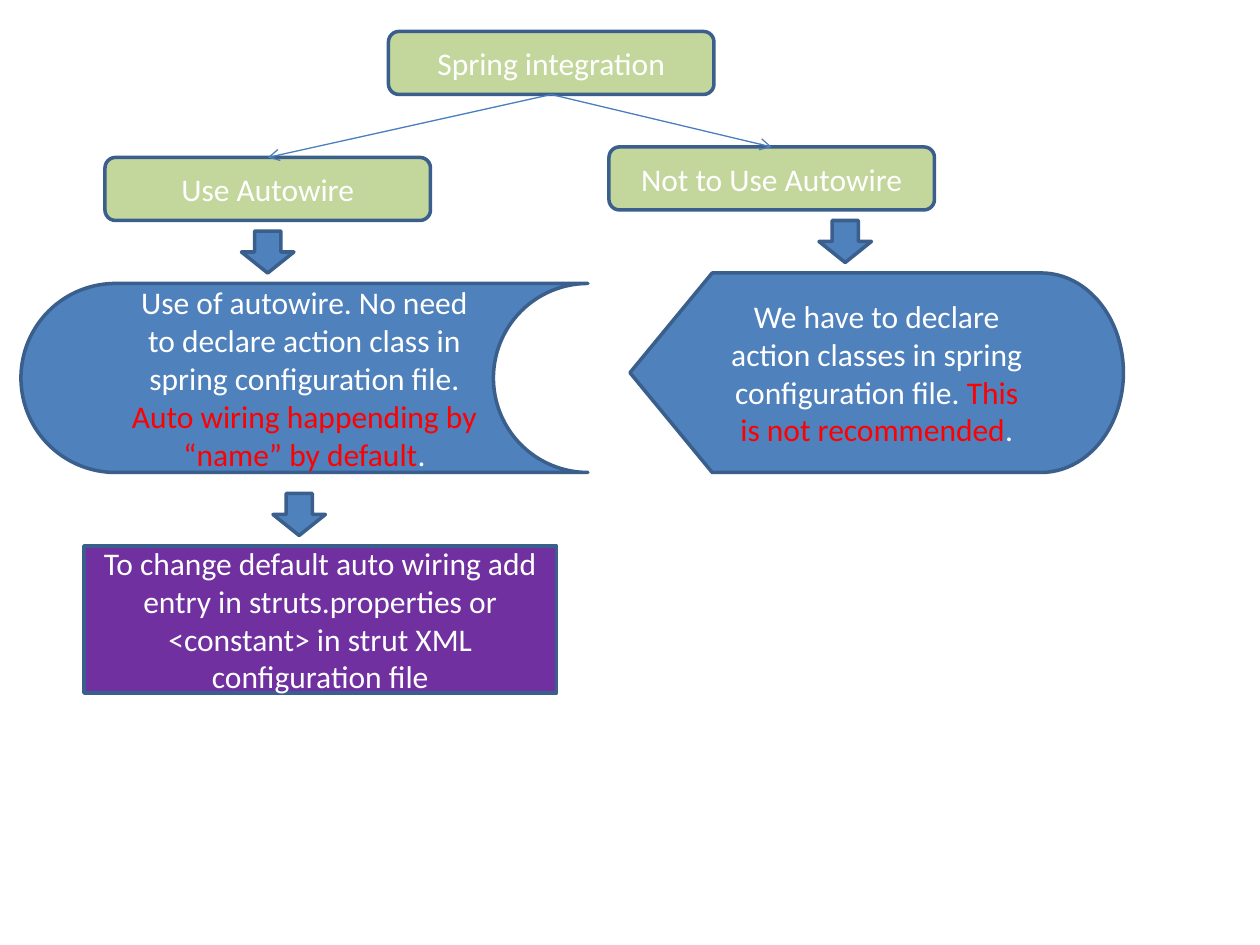
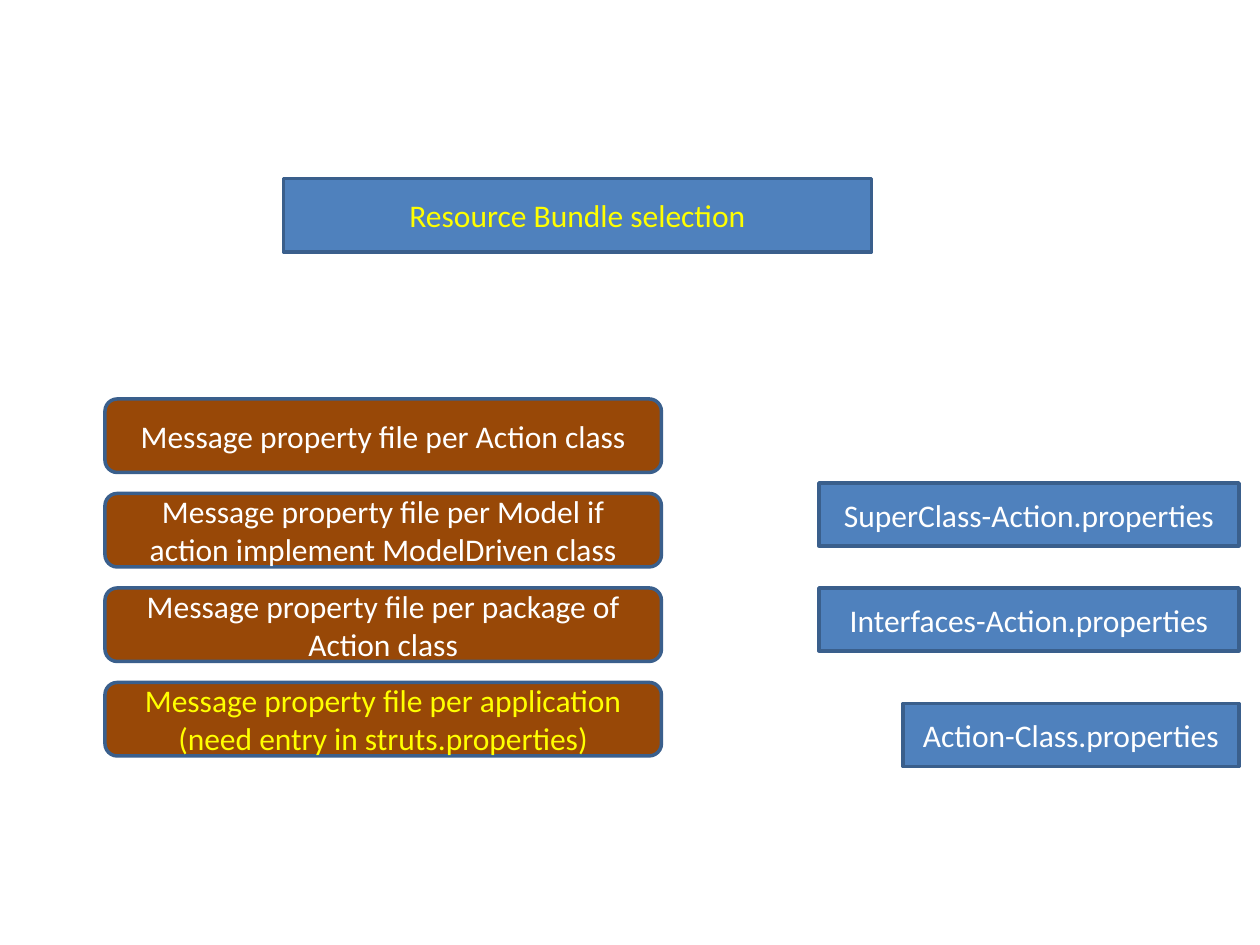
from lxml.etree import SubElement
from pptx import Presentation
from pptx.dml.color import RGBColor as Color
from pptx.enum.shapes import MSO_CONNECTOR as Link, MSO_SHAPE as Kind
from pptx.enum.text import MSO_ANCHOR as Anchor, PP_ALIGN as Align
from pptx.oxml.ns import qn
from pptx.util import Pt

SCALE = 7620
FONT = "Calibri"
WHITE = Color(0xFF, 0xFF, 0xFF)
YELLOW = Color(0xFF, 0xFF, 0x00)
RED = Color(0xFF, 0x00, 0x00)
GREEN = Color(0xC3, 0xD6, 0x9B)
BLUE = Color(0x4F, 0x81, 0xBD)
PURPLE = Color(0x70, 0x30, 0xA0)
BROWN = Color(0x98, 0x48, 0x07)
EDGE = Color(0x3A, 0x5F, 0x8C)
WIRE = Color(0x4B, 0x7E, 0xBC)


def px(*sizes):
    """Turn px lengths into EMU."""
    return [size * SCALE for size in sizes]


def add_box(slide, kind, box, fill, *runs):
    """Add an outlined shape with centred (text, colour) runs."""
    shape = slide.shapes.add_shape(kind, *px(*box))
    shape.shadow.inherit = False
    shape.fill.solid()
    shape.fill.fore_color.rgb = fill
    shape.line.color.rgb = EDGE
    shape.line.width = Pt(2)
    frame = shape.text_frame
    frame.word_wrap = True
    frame.vertical_anchor = Anchor.MIDDLE
    para = frame.paragraphs[0]
    para.alignment = Align.CENTER
    for text, color in runs:
        run = para.add_run()
        run.text = text
        run.font.name = FONT
        run.font.size = Pt(18)
        run.font.color.rgb = color
    return shape


def add_node(slide, x, y, text):
    """Add a green tree node."""
    return add_box(slide, Kind.ROUNDED_RECTANGLE, (x, y, 310, 60), GREEN, (text, WHITE))


def add_down(slide, x, y):
    """Add a block arrow that points down."""
    add_box(slide, Kind.DOWN_ARROW, (x, y, 50, 40), BLUE)


def join(slide, root, node):
    """Draw an arrow from the bottom of root to the top of node."""
    link = slide.shapes.add_connector(Link.STRAIGHT, 0, 0, 0, 0)
    link.begin_connect(root, 2)
    link.end_connect(node, 0)
    link.line.color.rgb = WIRE
    link.line.width = Pt(0.75)
    SubElement(link.line._get_or_add_ln(), qn("a:tailEnd"), type="arrow")
    SubElement(link._element.spPr, qn("a:effectLst"))


def add_branch(slide, root, x, y, name, down, kind, panel, runs):
    """Add a node at x, y, with an arrow and a panel offset from it."""
    node = add_node(slide, x, y, name)
    join(slide, root, node)
    left, width, height = panel
    add_box(slide, kind, (x + left, y + 120, width, height), BLUE, *runs)
    add_down(slide, x + down, y + 70)


def add_spring(slide):
    """Build the tree of autowire choices."""
    root = add_node(slide, 370, 30, "Spring integration")
    add_branch(slide, root, 580, 140, "Not to Use Autowire", 200,
               Kind.FLOWCHART_DISPLAY, (20, 470, 190), (
                   ("We have to declare action classes in spring configuration file. ", WHITE),
                   ("This is not recommended", RED),
                   (".", WHITE)))
    add_branch(slide, root, 100, 150, "Use Autowire", 130,
               Kind.FLOWCHART_STORED_DATA, (-80, 540, 180), (
                   ("Use of autowire. No need to declare action class in spring "
                    "configuration file. ", WHITE),
                   ("Auto wiring happending by “name” by default", RED),
                   (".", WHITE)))
    add_down(slide, 260, 470)
    add_box(slide, Kind.RECTANGLE, (80, 520, 450, 140), PURPLE,
            ("To change default auto wiring add entry in struts.properties or "
             "<constant> in strut XML configuration file", WHITE))


def add_scopes(slide, x, y):
    """Stack the message file scopes in an even column."""
    scopes = (
        ("Message property file per Action class", WHITE),
        ("Message property file per Model if action implement ModelDriven class", WHITE),
        ("Message property file per package of Action class", WHITE),
        ("Message property file per application (need entry in struts.properties)", YELLOW),
    )
    for row, scope in enumerate(scopes):
        add_box(slide, Kind.ROUNDED_RECTANGLE, (x, y + row * 90, 530, 70), BROWN, scope)


def add_files(slide, right, y):
    """Add the property files, flush at the right edge."""
    files = (
        (0, 400, "SuperClass-Action.properties"),
        (100, 400, "Interfaces-Action.properties"),
        (210, 320, "Action-Class.properties"),
    )
    for drop, width, name in files:
        add_box(slide, Kind.RECTANGLE, (right - width, y + drop, width, 60), BLUE,
                (name, WHITE))


def add_bundle(slide):
    """Build the resource bundle slide."""
    add_box(slide, Kind.RECTANGLE, (270, 170, 560, 70), BLUE,
            ("Resource Bundle selection", YELLOW))
    add_scopes(slide, 100, 380)
    add_files(slide, 1180, 460)


def main():
    """Build and save the deck."""
    deck = Presentation()
    deck.slide_width, deck.slide_height = px(1200, 900)
    for build in (add_spring, add_bundle):
        build(deck.slides.add_slide(deck.slide_layouts[6]))
    deck.save("out.pptx")


if __name__ == "__main__":
    main()
